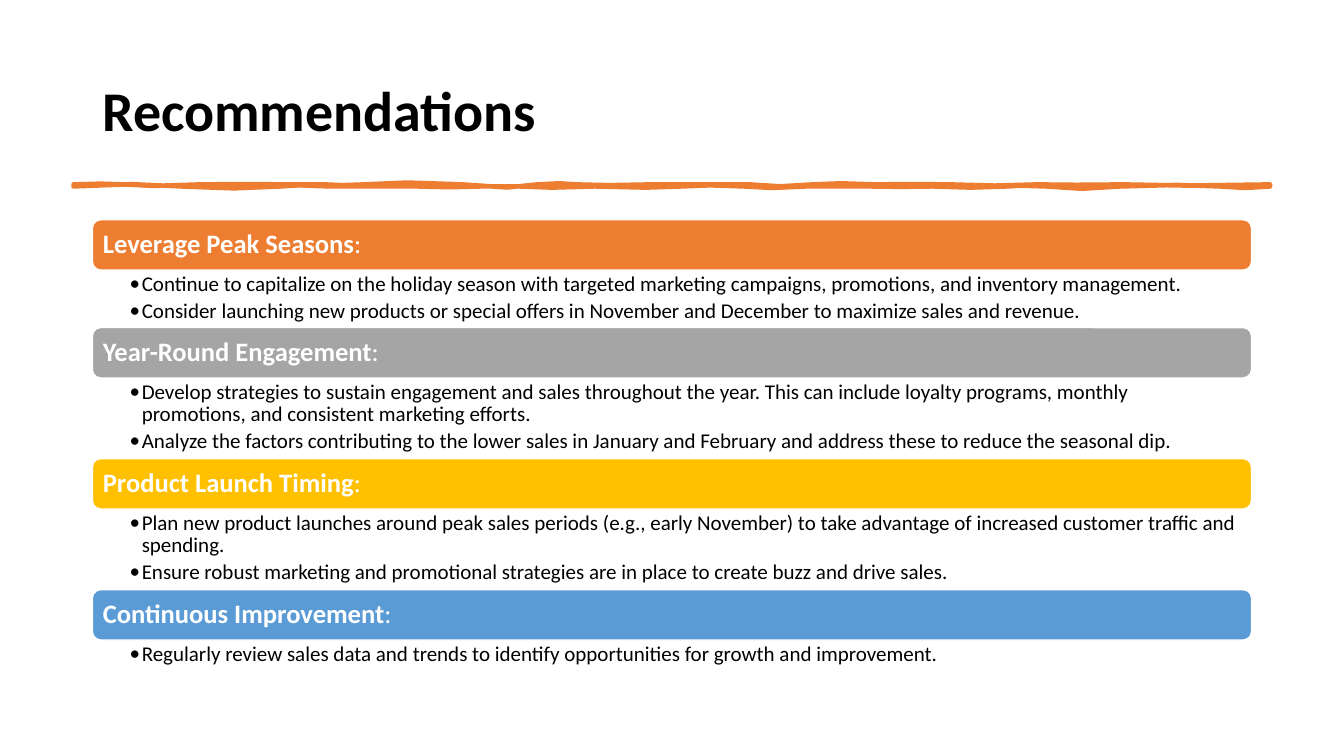
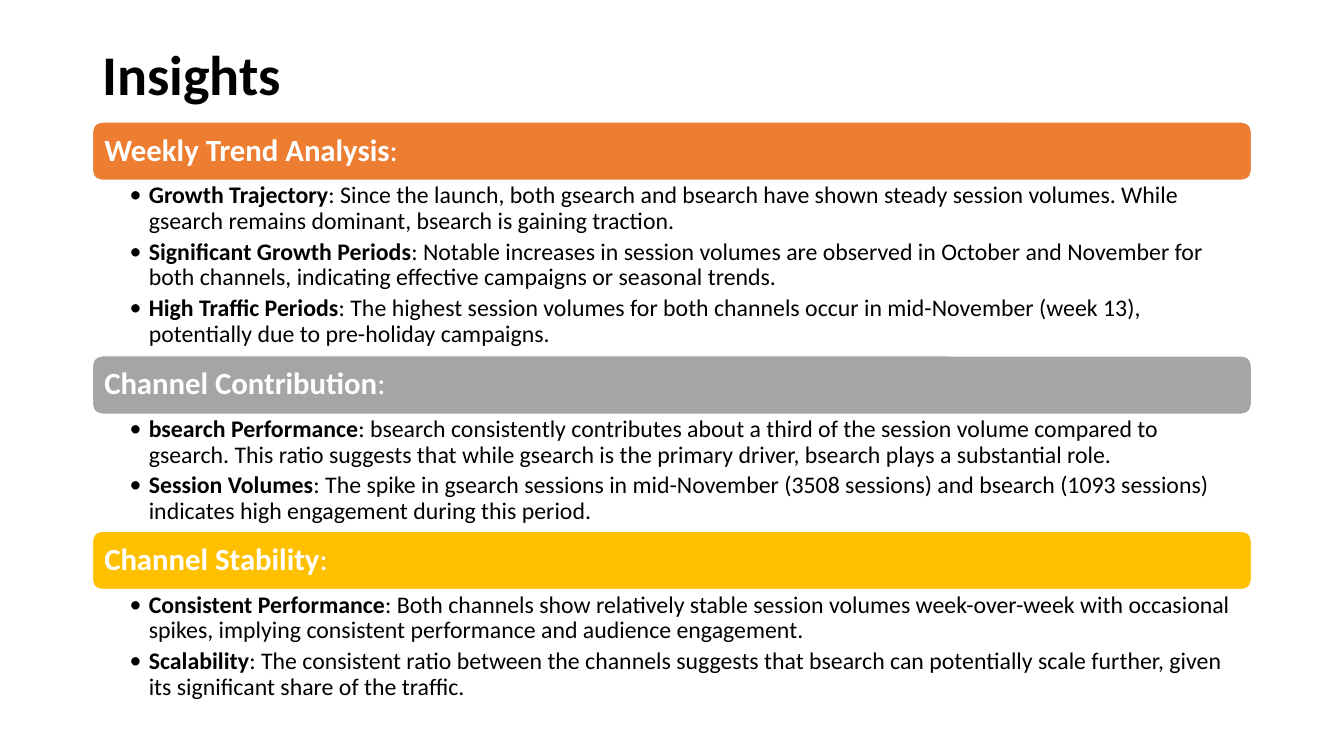
from dataclasses import dataclass

from lxml import etree
from pptx import Presentation
from pptx.dml.color import RGBColor
from pptx.enum.shapes import MSO_SHAPE
from pptx.enum.text import MSO_ANCHOR, MSO_AUTO_SIZE, PP_ALIGN
from pptx.oxml.ns import qn
from pptx.util import Inches, Pt

ROUNDED = MSO_SHAPE.ROUNDED_RECTANGLE
MIDDLE, TOP = MSO_ANCHOR.MIDDLE, MSO_ANCHOR.TOP
LEFT = PP_ALIGN.LEFT
NO_AUTOFIT = MSO_AUTO_SIZE.NONE


@dataclass(frozen=True)
class Theme:
    font: str = "Calibri"
    ink: RGBColor = RGBColor.from_string("000000")
    paper: RGBColor = RGBColor.from_string("FFFFFF")
    accents: tuple = tuple(
        RGBColor.from_string(c) for c in ("ED7D31", "A5A5A5", "FFC000", "5B9BD5"))
    title_size: int = 40
    line_spacing: float = 0.9


@dataclass(frozen=True)
class ListStyle:
    """Sizes of a section list: text in points, lengths in inches."""
    top: float
    bar_height: float
    line_height: float
    body_padding: float
    heading_size: int
    body_size: int
    heading_inset: float
    right_inset: float
    hanging: float


THEME = Theme()
SLIDE_W, SLIDE_H = 40 / 3, 7.5
CONTENT_W = 11.5
MARGIN = (SLIDE_W - CONTENT_W) / 2
TITLE_TOP = 0.4
BODY_INDENT, BODY_PAD = 0.37, 0.03

ROOMY = ListStyle(2.18, 0.5, 0.23, 0.11, 19, 15, 0.08, 0.15, 0.12)
LARGE = ListStyle(1.21, 0.58, 0.29, 0, 22, 17, 0.09, 0.17, 0.19)

# Brush stroke: each edge is a chain of curves (x1, y1, x2, y2, end x).
STROKE_LEFT, STROKE_RIGHT = 0.73, 12.6
STROKE_TOP, STROKE_BOTTOM = 1.83, 1.85
STROKE_WIDTH = 3.25
UPPER_EDGE = (
    (0.89, 1.81, 1.11, 1.83, 1.24), (1.36, 1.84, 1.62, 1.86, 1.98),
    (2.34, 1.81, 2.51, 1.84, 2.84), (3.17, 1.83, 3.07, 1.83, 3.22),
    (3.38, 1.84, 3.42, 1.84, 3.61), (3.8, 1.82, 4.24, 1.79, 4.59),
    (4.94, 1.88, 5.17, 1.86, 5.33), (5.49, 1.81, 5.63, 1.82, 5.72),
    (5.81, 1.85, 6.25, 1.83, 6.46), (6.67, 1.84, 7.23, 1.82, 7.44),
    (7.65, 1.85, 7.82, 1.86, 8.06), (8.3, 1.81, 8.38, 1.82, 8.68),
    (8.99, 1.85, 9.14, 1.8, 9.43), (9.72, 1.87, 10.02, 1.82, 10.29),
    (10.55, 1.85, 10.78, 1.82, 11.15), (11.51, 1.85, 11.99, 1.84, 12.6),
)
LOWER_EDGE = (
    (12.42, 1.87, 12.3, 1.87, 12.1), (11.9, 1.84, 11.49, 1.82, 11.12),
    (10.75, 1.89, 10.7, 1.87, 10.38), (10.05, 1.84, 10.18, 1.84, 9.99),
    (9.8, 1.87, 9.48, 1.86, 9.25), (9.02, 1.85, 8.84, 1.86, 8.63),
    (8.41, 1.85, 8.28, 1.85, 8.0), (7.73, 1.86, 7.57, 1.88, 7.38),
    (7.19, 1.83, 6.88, 1.84, 6.76), (6.63, 1.87, 6.24, 1.86, 5.9),
    (5.55, 1.85, 5.37, 1.88, 5.15), (4.94, 1.83, 4.91, 1.87, 4.77),
    (4.63, 1.84, 4.3, 1.88, 4.14), (3.99, 1.83, 3.71, 1.87, 3.28),
    (2.86, 1.83, 3.03, 1.84, 2.78), (2.53, 1.87, 2.13, 1.88, 1.8),
    (1.47, 1.82, 1.18, 1.82, 0.73),
)

# Each section: heading, number of text lines, points as (bold lead, rest).
RECOMMENDATIONS = (
    ("Leverage Peak Seasons", 2, (
        ("", "Continue to capitalize on the holiday season with targeted marketing "
             "campaigns, promotions, and inventory management."),
        ("", "Consider launching new products or special offers in November and "
             "December to maximize sales and revenue."))),
    ("Year-Round Engagement", 3, (
        ("", "Develop strategies to sustain engagement and sales throughout the year. "
             "This can include loyalty programs, monthly promotions, and consistent "
             "marketing efforts."),
        ("", "Analyze the factors contributing to the lower sales in January and "
             "February and address these to reduce the seasonal dip."))),
    ("Product Launch Timing", 3, (
        ("", "Plan new product launches around peak sales periods (e.g., early "
             "November) to take advantage of increased customer traffic and spending."),
        ("", "Ensure robust marketing and promotional strategies are in place to "
             "create buzz and drive sales."))),
    ("Continuous Improvement", 1, (
        ("", "Regularly review sales data and trends to identify opportunities for "
             "growth and improvement."),)),
)
INSIGHTS = (
    ("Weekly Trend Analysis", 6, (
        ("Growth Trajectory",
         ": Since the launch, both gsearch and bsearch have shown steady session "
         "volumes. While gsearch remains dominant, bsearch is gaining traction."),
        ("Significant Growth Periods",
         ": Notable increases in session volumes are observed in October and November "
         "for both channels, indicating effective campaigns or seasonal trends."),
        ("High Traffic Periods",
         ": The highest session volumes for both channels occur in mid-November "
         "(week 13), potentially due to pre-holiday campaigns."))),
    ("Channel Contribution", 4, (
        ("bsearch Performance",
         ": bsearch consistently contributes about a third of the session volume "
         "compared to gsearch. This ratio suggests that while gsearch is the primary "
         "driver, bsearch plays a substantial role."),
        ("Session Volumes",
         ": The spike in gsearch sessions in mid-November (3508 sessions) and bsearch "
         "(1093 sessions) indicates high engagement during this period."))),
    ("Channel Stability", 4, (
        ("Consistent Performance",
         ": Both channels show relatively stable session volumes week-over-week with "
         "occasional spikes, implying consistent performance and audience engagement."),
        ("Scalability",
         ": The consistent ratio between the channels suggests that bsearch can "
         "potentially scale further, given its significant share of the traffic."))),
)


def set_frame(frame, anchor, left, top, right, bottom):
    frame.word_wrap = True
    frame.auto_size = NO_AUTOFIT
    frame.vertical_anchor = anchor
    frame.margin_left, frame.margin_top = Inches(left), Inches(top)
    frame.margin_right, frame.margin_bottom = Inches(right), Inches(bottom)


def write_paragraph(paragraph, lead, rest, size, color):
    """Fill a paragraph with a bold lead followed by regular text."""
    paragraph.alignment = LEFT
    paragraph.line_spacing = THEME.line_spacing
    paragraph.font.name = THEME.font
    paragraph.font.size = Pt(size)
    paragraph.font.color.rgb = color
    for text, bold in ((lead, True), (rest, False)):
        if text:
            run = paragraph.add_run()
            run.text = text
            run.font.bold = bold


def add_bullet(paragraph, hanging):
    properties = paragraph._p.get_or_add_pPr()
    properties.set("marL", str(Inches(hanging)))
    properties.set("indent", str(-Inches(hanging)))
    etree.SubElement(properties, qn("a:buFont")).set("typeface", THEME.font)
    etree.SubElement(properties, qn("a:buChar")).set("char", "•")


def add_titled_slide(deck, text, title_height):
    slide = deck.slides.add_slide(deck.slide_layouts[5])
    title = slide.shapes.title
    title.left, title.top = Inches(MARGIN), Inches(TITLE_TOP)
    title.width, title.height = Inches(CONTENT_W), Inches(title_height)
    set_frame(title.text_frame, MIDDLE, 0.1, 0.05, 0.1, 0.05)
    write_paragraph(title.text_frame.paragraphs[0], text, "", THEME.title_size, THEME.ink)
    return slide


def trace_edge(start_x, y, curves, steps=2):
    """Points along a chain of cubic curves that all end at height y."""
    points = []
    for x1, y1, x2, y2, end_x in curves:
        for step in range(1, steps + 1):
            t = step / steps
            weights = ((1 - t) ** 3, 3 * t * (1 - t) ** 2, 3 * t * t * (1 - t), t ** 3)
            points.append(tuple(
                Inches(sum(w * v for w, v in zip(weights, values)))
                for values in ((start_x, x1, x2, end_x), (y, y1, y2, y))))
        start_x = end_x
    return points


def add_brush_stroke(slide):
    outline = (trace_edge(STROKE_LEFT, STROKE_TOP, UPPER_EDGE)
               + [(Inches(STROKE_RIGHT), Inches(STROKE_BOTTOM))]
               + trace_edge(STROKE_RIGHT, STROKE_BOTTOM, LOWER_EDGE))
    builder = slide.shapes.build_freeform(Inches(STROKE_LEFT), Inches(STROKE_TOP))
    builder.add_line_segments(outline, close=True)
    stroke = builder.convert_to_shape()
    stroke.shadow.inherit = False
    stroke.fill.solid()
    stroke.fill.fore_color.rgb = THEME.accents[0]
    stroke.line.color.rgb = THEME.accents[0]
    stroke.line.width = Pt(STROKE_WIDTH)


def add_heading_bar(slide, top, heading, color, style):
    bar = slide.shapes.add_shape(ROUNDED, Inches(MARGIN), Inches(top),
                                 Inches(CONTENT_W), Inches(style.bar_height))
    bar.shadow.inherit = False
    bar.fill.solid()
    bar.fill.fore_color.rgb = color
    bar.line.color.rgb = THEME.paper
    bar.line.width = Pt(1)
    set_frame(bar.text_frame, MIDDLE, *[style.heading_inset] * 4)
    write_paragraph(bar.text_frame.paragraphs[0], heading, ":",
                    style.heading_size, THEME.paper)


def add_points(slide, top, height, points, style):
    body = slide.shapes.add_textbox(Inches(MARGIN), Inches(top),
                                    Inches(CONTENT_W), Inches(height))
    frame = body.text_frame
    set_frame(frame, TOP, BODY_INDENT, BODY_PAD, style.right_inset, BODY_PAD)
    for index, (lead, rest) in enumerate(points):
        paragraph = frame.add_paragraph() if index else frame.paragraphs[0]
        add_bullet(paragraph, style.hanging)
        write_paragraph(paragraph, lead, rest, style.body_size, THEME.ink)
        paragraph.space_after = Pt(0.2 * style.body_size)


def add_sections(slide, sections, style):
    """Stack heading bars and their points, each section in its own accent."""
    top = style.top
    for (heading, lines, points), color in zip(sections, THEME.accents):
        add_heading_bar(slide, top, heading, color, style)
        top += style.bar_height
        height = style.body_padding + lines * style.line_height
        add_points(slide, top, height, points, style)
        top += height


def main():
    deck = Presentation()
    deck.slide_width, deck.slide_height = Inches(SLIDE_W), Inches(SLIDE_H)

    recommendations = add_titled_slide(deck, "Recommendations", 1.45)
    add_brush_stroke(recommendations)
    add_sections(recommendations, RECOMMENDATIONS, ROOMY)

    insights = add_titled_slide(deck, "Insights", 0.73)
    add_sections(insights, INSIGHTS, LARGE)

    deck.save("out.pptx")


if __name__ == "__main__":
    main()
